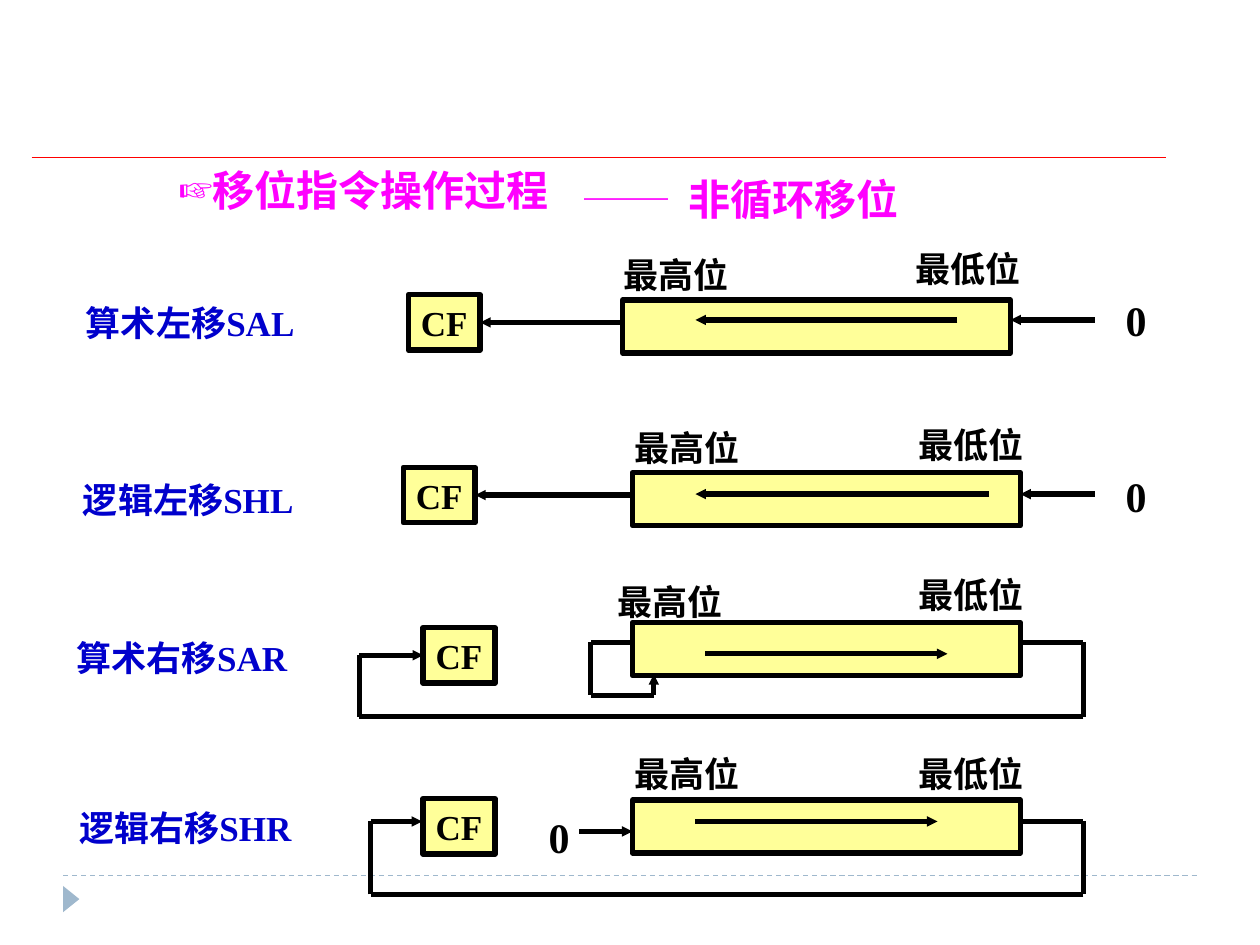
from itertools import pairwise

from lxml import etree
from pptx import Presentation
from pptx.dml.color import RGBColor
from pptx.enum.dml import MSO_LINE
from pptx.enum.shapes import MSO_CONNECTOR, MSO_SHAPE
from pptx.enum.text import MSO_ANCHOR, MSO_AUTO_SIZE, PP_ALIGN
from pptx.oxml.ns import qn
from pptx.util import Cm, Pt

RECT, TRI = MSO_SHAPE.RECTANGLE, MSO_SHAPE.ISOSCELES_TRIANGLE
LINE, DASH = MSO_CONNECTOR.STRAIGHT, MSO_LINE.DASH
TOP, MID = MSO_ANCHOR.TOP, MSO_ANCHOR.MIDDLE
LEFT, MIDDLE = PP_ALIGN.LEFT, PP_ALIGN.CENTER
FIXED = MSO_AUTO_SIZE.NONE
FONT = "Times New Roman"
HEX = {"ink": "000000", "box": "FFFF99", "name": "0000CC",
       "head": "FF00FF", "rule": "FF0000", "foot": "9FB8CD"}

# Content, lengths in cm
HEAD, TOPIC = "移位指令操作过程", "──\t非循环移位"
HIGH, LOW, FLAG, ZERO = "最高位", "最低位", "CF", "0"
CF_W, CF_H, REG_W, REG_H = 1.45, 1.12, 7.82, 1.07
CAP_W, CAP_H, ZERO_W, ZERO_H = 2.62, 1.12, 0.91, 1.27

# "paths" are arrows given by their corners; "join" is the side of the
# flag box where the first path ends
ROWS = [
    {"name": "算术左移SAL", "label": (1.27, 5.94, 5.13), "flag": (8.23, 5.94),
     "reg": (12.55, 6.05), "high": (12.32, 4.98), "low": (18.21, 4.85),
     "zero": (22.45, 5.82), "join": 3,
     "paths": [[(12.55, 6.5), (9.68, 6.5)],
               [(19.3, 6.45), (14.02, 6.45)],
               [(22.07, 6.45), (20.37, 6.45)]]},
    {"name": "逻辑左移SHL", "label": (1.27, 9.5, 5.05), "flag": (8.13, 9.42),
     "reg": (12.75, 9.53), "high": (12.55, 8.46), "low": (18.26, 8.41),
     "zero": (22.45, 9.35), "join": 3,
     "paths": [[(12.75, 9.98), (9.58, 9.98)],
               [(19.94, 9.96), (14.02, 9.96)],
               [(22.07, 9.96), (20.57, 9.96)]]},
    {"name": "算术右移SAR", "label": (0.84, 12.7, 5.66), "flag": (8.53, 12.65),
     "reg": (12.75, 12.55), "high": (12.2, 11.56), "low": (18.26, 11.43),
     "zero": None, "join": 1,
     "paths": [[(20.57, 12.95), (21.84, 12.95), (21.84, 14.45),
                (7.24, 14.45), (7.24, 13.21), (8.53, 13.21)],
               [(14.22, 13.18), (19.1, 13.18)],
               [(12.75, 12.95), (11.91, 12.95), (11.91, 14.02),
                (13.18, 14.02), (13.18, 13.59)]]},
    {"name": "逻辑右移SHR", "label": (1.07, 16.13, 5.33), "flag": (8.53, 16.1),
     "reg": (12.75, 16.13), "high": (12.55, 15.04), "low": (18.26, 15.04),
     "zero": (10.82, 16.23), "join": None,
     "paths": [[(20.57, 16.56), (21.84, 16.56), (21.84, 18.03),
                (7.47, 18.03), (7.47, 16.56), (8.51, 16.56)],
               [(14.02, 16.56), (18.9, 16.56)],
               [(11.68, 16.76), (12.75, 16.76)]]},
]

deck = Presentation()
deck.slide_width, deck.slide_height = Cm(25.4), Cm(19.05)
slide = deck.slides.add_slide(deck.slide_layouts[5])
shapes = slide.shapes


def color(key):
    return RGBColor.from_string(HEX[key])


def write(shape, text, size=20, ink="ink", align=MIDDLE, anchor=MID,
          wrap=False):
    frame = shape.text_frame
    frame.auto_size, frame.word_wrap = FIXED, wrap
    frame.vertical_anchor = anchor
    para = frame.paragraphs[0]
    para.alignment = align
    run = para.add_run()
    run.text = text
    font = run.font
    font.name, font.size, font.bold = FONT, Pt(size), True
    font.color.rgb = color(ink)
    return para


def label(text, x, y, w, h, **form):
    box = shapes.add_textbox(Cm(x), Cm(y), Cm(w), Cm(h))
    return write(box, text, **form)


def block(kind, x, y, w, h, fill, edge=None):
    shape = shapes.add_shape(kind, Cm(x), Cm(y), Cm(w), Cm(h))
    shape.shadow.inherit = False
    shape.fill.solid()
    shape.fill.fore_color.rgb = color(fill)
    if edge:
        shape.line.color.rgb, shape.line.width = color(edge), Pt(3)
    else:
        shape.line.fill.background()
    return shape


def stroke(start, end, ink="ink", width=3, dash=None):
    line = shapes.add_connector(LINE, *map(Cm, start + end))
    line.line.color.rgb, line.line.width = color(ink), Pt(width)
    if dash:
        line.line.dash_style = dash
    etree.SubElement(line._element.spPr, qn("a:effectLst"))
    return line


def arrow(points):
    for start, end in pairwise(points):
        line = stroke(start, end)
    etree.SubElement(line.line._get_or_add_ln(), qn("a:tailEnd"),
                     type="triangle", w="sm", len="sm")
    return line


# Rules and corner mark
stroke((1.27, 17.65), (24.13, 17.65), "foot", 0.75, DASH)
block(TRI, 1.17, 17.96, 0.53, 0.33, "foot").rotation = 90
stroke((0.64, 3.18), (23.5, 3.18), "rule", 0.75)

# Heading with its pointing-hand bullet
title = shapes.title
title.left, title.top, title.width, title.height = map(
    Cm, (3.35, 3.18, 9.14, 1.27))
props = write(title, HEAD, size=24, ink="head", align=LEFT,
              wrap=True)._p.get_or_add_pPr()
props.set("marL", "0")
props.set("indent", "0")
tint = etree.SubElement(props, qn("a:buClr"))
etree.SubElement(tint, qn("a:srgbClr"), val=HEX["head"])
etree.SubElement(props, qn("a:buFont"), typeface=FONT)
etree.SubElement(props, qn("a:buChar"), char="☞")

# Topic after the dash, set off by a tab stop
props = label(TOPIC, 11.53, 3.38, 7.37, 1.27, size=24, ink="head", align=LEFT,
              anchor=TOP, wrap=True)._p.get_or_add_pPr()
tabs = etree.SubElement(props, qn("a:tabLst"))
etree.SubElement(tabs, qn("a:tab"), pos=str(Cm(2.1)), algn="l")

# One diagram for each shift instruction
for row in ROWS:
    label(row["name"], *row["label"], CAP_H, ink="name", wrap=True)
    flag = block(RECT, *row["flag"], CF_W, CF_H, "box", "ink")
    write(flag, FLAG)
    block(RECT, *row["reg"], REG_W, REG_H, "box", "ink")
    label(HIGH, *row["high"], CAP_W, CAP_H)
    label(LOW, *row["low"], CAP_W, CAP_H)
    if row["zero"]:
        label(ZERO, *row["zero"], ZERO_W, ZERO_H, size=24)
    lines = [arrow(points) for points in row["paths"]]
    if row["join"]:
        lines[0].end_connect(flag, row["join"])

deck.save("out.pptx")
